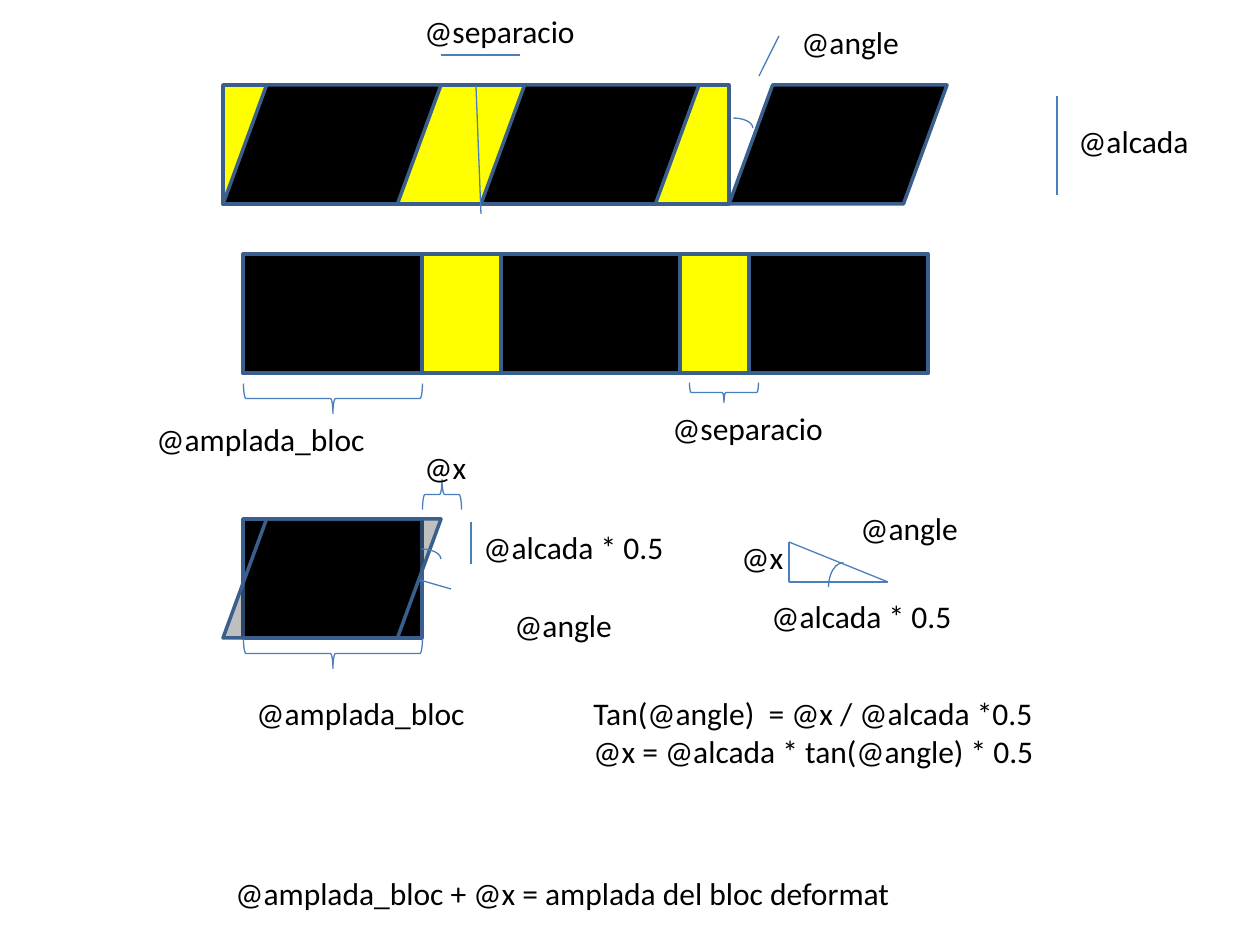
"""Builds a slide that explains the geometry of slanted warning stripes."""
from lxml import etree
from pptx import Presentation
from pptx.dml.color import RGBColor
from pptx.enum.shapes import MSO_CONNECTOR, MSO_SHAPE as SHAPE
from pptx.enum.text import MSO_AUTO_SIZE, MSO_VERTICAL_ANCHOR as ANCHOR
from pptx.oxml.ns import qn
from pptx.util import Emu, Pt

PIXEL = 914400 / 126
BLACK = RGBColor(0x00, 0x00, 0x00)
YELLOW = RGBColor(0xFF, 0xFF, 0x00)
OUTLINE = RGBColor(0x3A, 0x5F, 0x8C)
THIN_LINE = RGBColor(0x4B, 0x7E, 0xBC)

BLOCK_WIDTH, SLANTED_WIDTH, HEIGHT = 179, 218, 119
BLOCK_LEFT, SLANTED_LEFT = 243, 223
SLANTED_TOP, STRAIGHT_TOP, DETAIL_TOP = 85, 254, 519

LABELS = [
    (1066, 116, 137, "@alcada"),
    (789, 17, 125, "@angle"),
    (412, 6, 178, "@separacio"),
    (660, 403, 178, "@separacio"),
    (144, 414, 236, "@amplada_bloc"),
    (412, 442, 68, "@x"),
    (471, 522, 208, "@alcada * 0.5"),
    (502, 600, 125, "@angle"),
    (244, 688, 236, "@amplada_bloc"),
    (848, 503, 125, "@angle"),
    (729, 532, 68, "@x"),
    (759, 591, 208, "@alcada * 0.5"),
    (581, 688, 470, "Tan(@angle)  = @x / @alcada *0.5\n@x = @alcada * tan(@angle) * 0.5"),
    (223, 868, 688, "@amplada_bloc + @x = amplada del bloc deformat"),
]
LINES = [
    (1057, 96, 1057, 195),
    (779, 36, 759, 76),
    (441, 55, 520, 55),
    (476, 86, 481, 214),
    (451, 589, 420, 580),
    (471, 522, 471, 564),
    (789, 542, 789, 582),
    (789, 582, 888, 582),
    (789, 542, 888, 582),
]
MARKS = [
    (SHAPE.LEFT_BRACE, 318, 309, 30, BLOCK_WIDTH, 270),
    (SHAPE.LEFT_BRACE, 318, 564, 30, BLOCK_WIDTH, 270),
    (SHAPE.LEFT_BRACE, 714, 358, 20, 69, 270),
    (SHAPE.LEFT_BRACE, 427, 475, 30, 39, 90),
    (SHAPE.ARC, 714, 118, 39, 20, 0),
    (SHAPE.ARC, 402, 549, 39, 20, 0),
    (SHAPE.ARC, 819, 572, 49, 30, 270),
]


def px(*lengths):
    """Turns pixels into EMU."""
    return [Emu(round(length * PIXEL)) for length in lengths]


def add_block(slide, kind, left, top, width, color, opacity=100):
    """Adds a filled, outlined block of the common height."""
    block = slide.shapes.add_shape(kind, *px(left, top, width, HEIGHT))
    block.shadow.inherit = False
    block.fill.solid()
    block.fill.fore_color.rgb = color
    block.line.color.rgb = OUTLINE
    block.line.width = Pt(2)
    if opacity < 100:
        tint = block.fill._xPr.find(qn("a:solidFill"))[0]
        etree.SubElement(tint, qn("a:alpha"), val=str(opacity * 1000))


def add_mark(slide, kind, left, top, width, height, rotation):
    """Adds an unfilled brace or arc."""
    mark = slide.shapes.add_shape(kind, *px(left, top, width, height))
    mark.shadow.inherit = False
    mark.rotation = rotation
    mark.fill.background()
    mark.line.color.rgb = THIN_LINE
    mark.line.width = Pt(0.75)


def add_line(slide, *ends):
    """Adds a thin straight line."""
    line = slide.shapes.add_connector(MSO_CONNECTOR.STRAIGHT, *px(*ends))
    line.line.color.rgb = THIN_LINE
    line.line.width = Pt(0.75)
    etree.SubElement(line._element.spPr, qn("a:effectLst"))


def add_label(slide, left, top, width, text):
    """Adds a text box that grows with its lines."""
    height = 12 + 38 * len(text.split("\n"))
    box = slide.shapes.add_textbox(*px(left, top, width, height))
    frame = box.text_frame
    frame.text = text
    frame.word_wrap = False
    frame.auto_size = MSO_AUTO_SIZE.SHAPE_TO_FIT_TEXT
    frame.vertical_anchor = ANCHOR.TOP
    for para in frame.paragraphs:
        for span in para.runs:
            span.font.name = "Calibri"
            span.font.size = Pt(18)
            span.font.color.rgb = BLACK


def main():
    """Builds and saves the deck."""
    deck = Presentation()
    deck.slide_width, deck.slide_height = px(1260, 945)
    slide = deck.slides.add_slide(deck.slide_layouts[6])

    add_block(slide, SHAPE.RECTANGLE, BLOCK_LEFT, STRAIGHT_TOP, 685, YELLOW)
    for left in (BLOCK_LEFT, 501, 749):
        add_block(slide, SHAPE.RECTANGLE, left, STRAIGHT_TOP, BLOCK_WIDTH, BLACK)

    add_block(slide, SHAPE.RECTANGLE, SLANTED_LEFT, SLANTED_TOP, 506, YELLOW)
    for left in (SLANTED_LEFT, 481, 729):
        add_block(slide, SHAPE.FLOWCHART_DATA, left, SLANTED_TOP, SLANTED_WIDTH, BLACK)

    add_block(slide, SHAPE.RECTANGLE, BLOCK_LEFT, DETAIL_TOP, BLOCK_WIDTH, BLACK)
    add_block(slide, SHAPE.FLOWCHART_DATA, SLANTED_LEFT, DETAIL_TOP, SLANTED_WIDTH, BLACK, 25)

    for mark in MARKS:
        add_mark(slide, *mark)
    for line in LINES:
        add_line(slide, *line)
    for label in LABELS:
        add_label(slide, *label)
    deck.save("out.pptx")


main()
